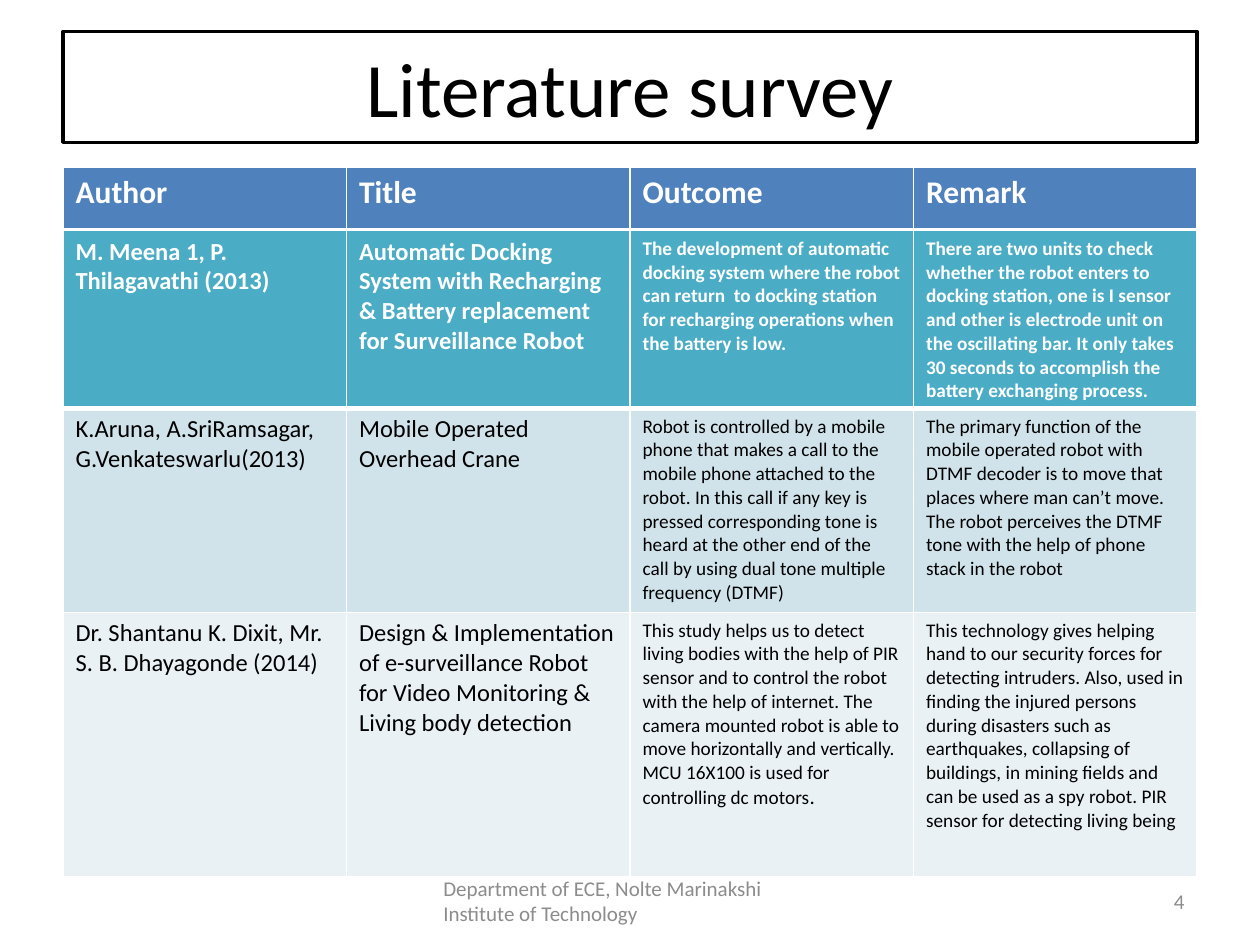
from pptx import Presentation
from pptx import util as u
from pptx.dml.color import RGBColor
from pptx.enum import text
from pptx.oxml import parse_xml
from pptx.oxml.ns import nsdecls

COLORS = {"white": "FFFFFF", "black": "000000", "grey": "8C8C8C", "blue": "4F81BD",
          "teal": "4BACC6", "mist": "D0E3EA", "pale": "E9F1F5"}
HEADINGS = ["Author", "Title", "Outcome", "Remark"]
PAPERS = [
    ["M. Meena 1, P. Thilagavathi (2013)",
     "Automatic Docking System with Recharging & Battery replacement for Surveillance Robot",
     "The development of automatic docking system where the robot can return  to docking station "
     "for recharging operations when the battery is low.",
     "There are two units to check whether the robot enters to docking station, one is I sensor "
     "and other is electrode unit on the oscillating bar. It only takes 30 seconds to accomplish "
     "the battery exchanging process."],
    ["K.Aruna, A.SriRamsagar, G.Venkateswarlu(2013)",
     "Mobile Operated Overhead Crane",
     "Robot is controlled by a mobile phone that makes a call to the mobile phone attached to the "
     "robot. In this call if any key is pressed corresponding tone is heard at the other end of "
     "the call by using dual tone multiple frequency (DTMF)",
     "The primary function of the mobile operated robot with DTMF decoder is to move that places "
     "where man can’t move. The robot perceives the DTMF tone with the help of phone stack in "
     "the robot"],
    ["Dr. Shantanu K. Dixit, Mr. S. B. Dhayagonde (2014)",
     "Design & Implementation of e-surveillance Robot for Video Monitoring & Living body detection",
     "This study helps us to detect living bodies with the help of PIR sensor and to control the "
     "robot with the help of internet. The camera mounted robot is able to move horizontally and "
     "vertically. MCU 16X100 is used for controlling dc motors",
     "This technology gives helping hand to our security forces for detecting intruders. Also, "
     "used in finding the injured persons during disasters such as earthquakes, collapsing of "
     "buildings, in mining fields and can be used as a spy robot. PIR sensor for detecting "
     "living being"],
]


def rgb(name):
    return RGBColor.from_string(COLORS[name])


def add_run(paragraph, words, size=12, color="black", bold=False, font="Calibri", align=None):
    run = paragraph.add_run()
    run.text = words
    run.font.name, run.font.size, run.font.bold = font, u.Pt(size), bold
    run.font.color.rgb = rgb(color)
    if align is not None:
        paragraph.alignment = align


class SlideBuilder:
    """Holds the current slide and its style, and adds each kind of element."""

    def __init__(self, slide, font="Calibri", border="white"):
        self.slide, self.font, self.border = slide, font, border

    def title(self, words, box):
        shape = self.slide.shapes.title
        shape.left, shape.top, shape.width, shape.height = map(u.Inches, box)
        shape.fill.solid()
        shape.fill.fore_color.rgb = rgb("white")
        shape.line.color.rgb = rgb("black")
        shape.line.width = u.Pt(2)
        shape.text_frame.vertical_anchor = text.MSO_ANCHOR.MIDDLE
        add_run(shape.text_frame.paragraphs[0], words, size=44, font=self.font,
                align=text.PP_ALIGN.CENTER)

    def footer(self, words, box, align):
        frame = self.slide.shapes.add_textbox(*map(u.Inches, box)).text_frame
        frame.word_wrap = True
        frame.vertical_anchor = text.MSO_ANCHOR.MIDDLE
        add_run(frame.paragraphs[0], words, color="grey", font=self.font, align=align)

    def cell(self, cell, words, fill, bottom=1, **style):
        cell.fill.solid()
        cell.fill.fore_color.rgb = rgb(fill)
        add_run(cell.text_frame.paragraphs[0], words, font=self.font, **style)
        widths = {"lnL": 1, "lnR": 1, "lnT": 1, "lnB": bottom}
        for index, (side, points) in enumerate(widths.items()):
            cell._tc.get_or_add_tcPr().insert(index, parse_xml(
                f'<a:{side} {nsdecls("a")} w="{u.Pt(points)}"><a:solidFill>'
                f'<a:srgbClr val="{COLORS[self.border]}"/></a:solidFill></a:{side}>'))

    def table(self, rows, top, heights, fills, sizes, header=True):
        frame = self.slide.shapes.add_table(len(rows), len(sizes), u.Inches(0.5), u.Inches(top),
                                            u.Inches(9), u.Inches(sum(heights)))
        table = frame.table
        for r, (row, height, fill) in enumerate(zip(rows, heights, fills)):
            table.rows[r].height = u.Inches(height)
            first = header and r == 0
            for c, (words, size) in enumerate(zip(row, sizes)):
                self.cell(table.cell(r, c), words, fill, bottom=3 if first else 1, size=size,
                          color="white" if first else "black", bold=first)
        return table


def main():
    presentation = Presentation()
    presentation.slide_width, presentation.slide_height = u.Inches(10), u.Inches(7.5)
    builder = SlideBuilder(presentation.slides.add_slide(presentation.slide_layouts[5]))
    builder.title("Literature survey", (0.5, 0.25, 9, 0.88))
    builder.footer("Department of ECE, Nolte Marinakshi Institute of Technology",
                   (3.42, 6.95, 3.17, 0.4), text.PP_ALIGN.LEFT)
    builder.footer("4", (7.17, 6.95, 2.33, 0.4), text.PP_ALIGN.RIGHT)
    builder.table([HEADINGS], 1.33, [0.5], ["blue"], [18] * 4)
    papers = builder.table(PAPERS, 1.83, [1.41, 1.62, 2.1], ["teal", "mist", "pale"],
                           [14, 14, 11, 11])
    add_run(papers.cell(2, 2).text_frame.paragraphs[0], ".", size=12)
    presentation.save("out.pptx")


if __name__ == "__main__":
    main()
